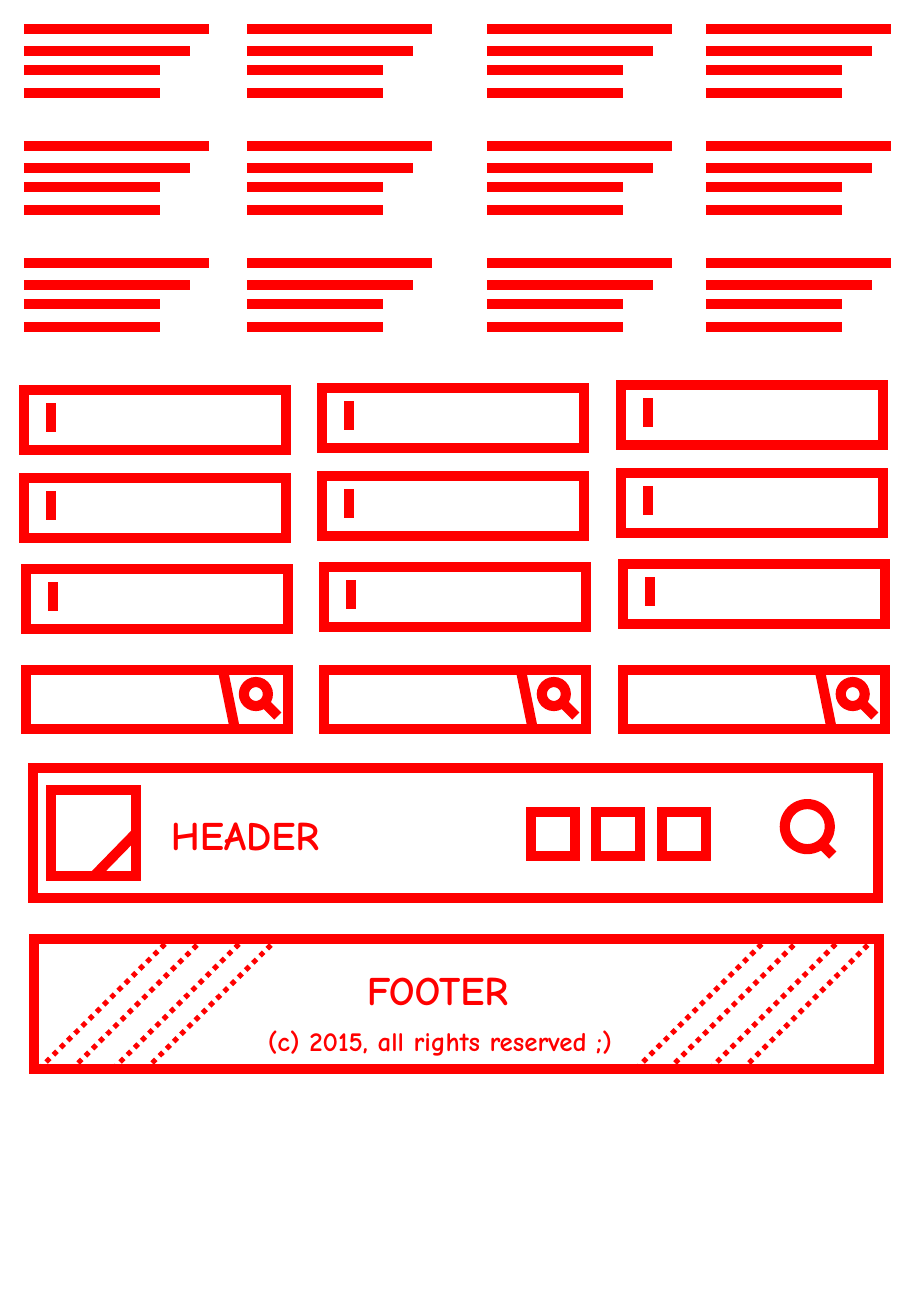
from lxml import etree
from pptx import Presentation, util as u
from pptx.dml.color import RGBColor
from pptx.enum import dml, shapes, text as t
from pptx.oxml.ns import qn

RED = RGBColor(0xFF, 0x00, 0x00)
WHITE = RGBColor(0xFF, 0xFF, 0xFF)
PX = 914400 / 121.5
RECT = shapes.MSO_SHAPE.RECTANGLE
OVAL = shapes.MSO_SHAPE.OVAL
LINE = shapes.MSO_CONNECTOR.STRAIGHT


def draw(parent, kind, x, y, dx, dy, width=6, dash=None, fill=WHITE):
    left, top, right, bottom = (round(n * PX) for n in (x, y, x + dx, y + dy))
    if kind is LINE:
        mark = parent.shapes.add_connector(kind, left, top, right, bottom)
    else:
        mark = parent.shapes.add_shape(kind, left, top, right - left, bottom - top)
        if fill is None:
            mark.fill.background()
        else:
            mark.fill.solid()
            mark.fill.fore_color.rgb = fill
    mark.line.color.rgb = RED
    mark.line.width = u.Pt(width)
    if dash is not None:
        mark.line.dash_style = dash
    outline = mark._element.spPr
    etree.SubElement(outline.find(qn("a:ln")), qn("a:miter"), lim="800000")
    etree.SubElement(outline, qn("a:effectLst"))


def write(words, x, y, width, height, size=24):
    label = slide.shapes.add_textbox(*(round(n * PX) for n in (x, y, width, height)))
    frame = label.text_frame
    frame.word_wrap = True
    frame.auto_size = t.MSO_AUTO_SIZE.SHAPE_TO_FIT_TEXT
    frame.text = words
    font = frame.paragraphs[0].runs[0].font
    font.name = "Comic Neue"
    font.size = u.Pt(size)
    font.bold = True
    font.color.rgb = RED


deck = Presentation()
deck.slide_width = u.Inches(7.5)
deck.slide_height = u.Inches(10.83)
slide = deck.slides.add_slide(deck.slide_layouts[6])

for row in range(3):
    for left in (24, 247, 487, 706):
        paragraph = slide.shapes.add_group_shape()
        for drop, length in ((0, 185), (22, 166), (41, 136), (64, 136)):
            draw(paragraph, LINE, left, 29 + 117 * row + drop, length, 0)

columns = ((0, 0), (298, -2), (597, -5))
for left, top in ((24, 390), (24, 478), (26, 569)):
    for shift, rise in columns:
        x, y = left + shift, top + rise
        field = slide.shapes.add_group_shape()
        draw(field, RECT, x, y, 262, 60)
        draw(field, LINE, x + 27, y + 13, 0, 29)

for shift, _ in columns:
    x, y = 26 + shift, 670
    search = slide.shapes.add_group_shape()
    draw(search, RECT, x, y, 262, 59)
    draw(search, OVAL, x + 218, y + 12, 24, 24)
    draw(search, LINE, x + 239, y + 33, 13, 13)
    draw(search, LINE, x + 197, y, 12, 59)

draw(slide, RECT, 33, 768, 845, 130)
draw(slide, OVAL, 785, 804, 45, 45)
draw(slide, LINE, 820, 842, 13, 13)
for button in range(3):
    draw(slide, RECT, 531 + 65.5 * button, 812, 44, 44)
draw(slide, RECT, 51, 790, 85, 86)
draw(slide, LINE, 136, 833, -42, 43)
write("HEADER", 159, 804, 200, 61)

draw(slide, RECT, 34, 939, 845, 130, fill=None)
write("FOOTER", 355, 959, 200, 61)
write("(c) 2015, all rights reserved ;)", 256, 1018, 654, 45, size=16)
for side in (39, 636):
    for pair in (0, 74):
        for shift, drop in ((32, 1), (0, 0)):
            draw(slide, LINE, side + pair + shift, 1069 + drop, 131, -130,
                 width=3, dash=dml.MSO_LINE.ROUND_DOT)

deck.save("out.pptx")
